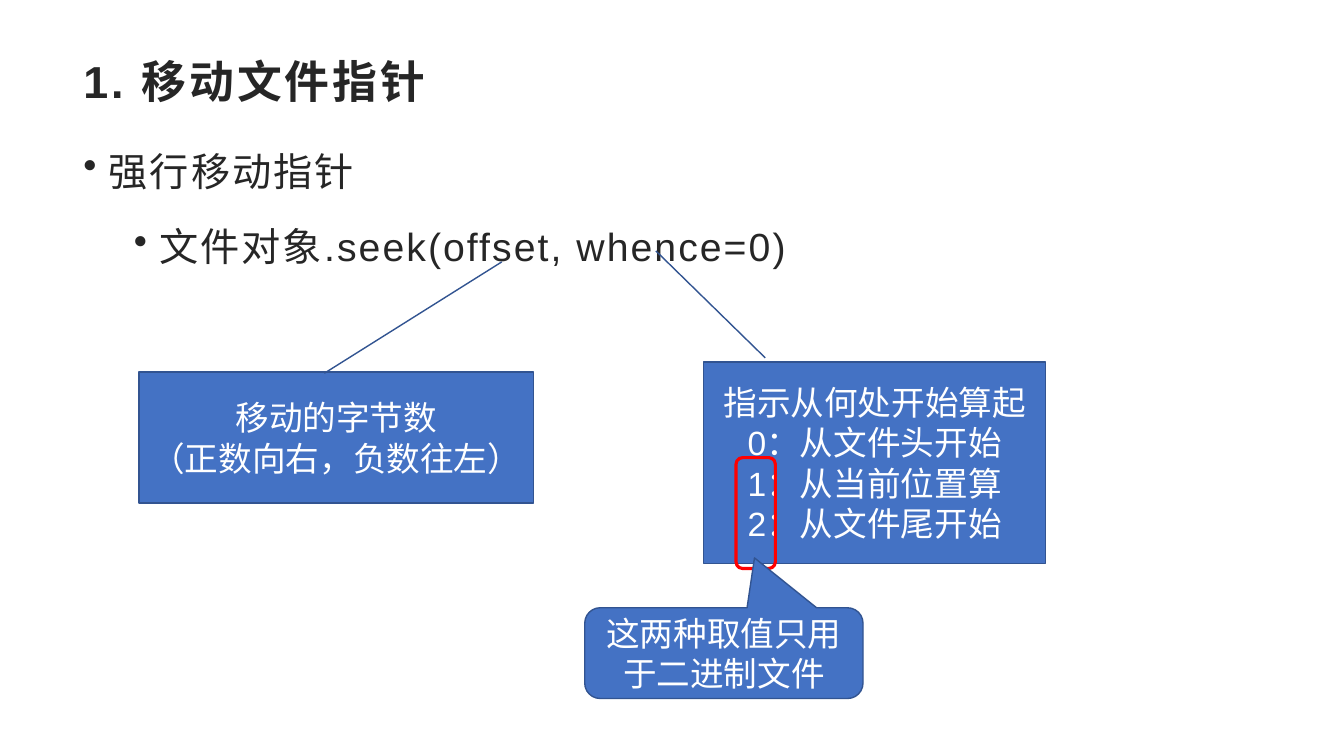
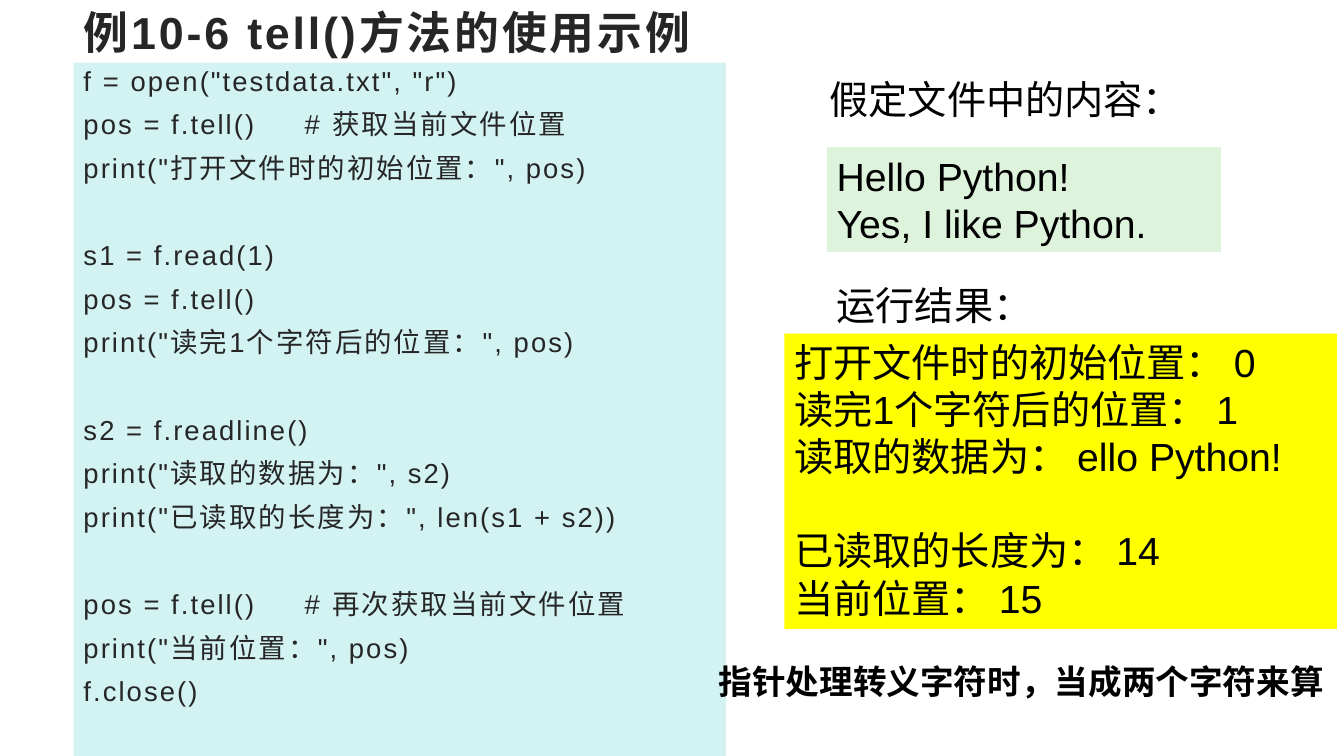
from pptx import Presentation
from pptx.dml.color import RGBColor
from pptx.enum.shapes import MSO_SHAPE
from pptx.enum.text import MSO_ANCHOR, PP_ALIGN
from pptx.oxml.ns import qn
from pptx.util import Inches, Pt

RECTANGLE = MSO_SHAPE.RECTANGLE
ROUNDED = MSO_SHAPE.ROUNDED_RECTANGLE
LINE_CALLOUT = MSO_SHAPE.LINE_CALLOUT_1
SPEECH_CALLOUT = MSO_SHAPE.ROUNDED_RECTANGULAR_CALLOUT
TOP, MIDDLE = MSO_ANCHOR.TOP, MSO_ANCHOR.MIDDLE
LEFT, CENTER = PP_ALIGN.LEFT, PP_ALIGN.CENTER

COLORS = {
    "heading": "262626",
    "text": "000000",
    "light": "FFFFFF",
    "callout": "4472C4",
    "outline": "325491",
    "highlight": "FF0000",
    "code": "D3F2F2",
    "file": "DEF3DC",
    "output": "FFFF00",
}

CODE_BLOCKS = [
    [
        'f = open("testdata.txt", "r")',
        "pos = f.tell()     # 获取当前文件位置",
        'print("打开文件时的初始位置：", pos)',
    ],
    [
        "s1 = f.read(1)",
        "pos = f.tell()",
        'print("读完1个字符后的位置：", pos)',
    ],
    [
        "s2 = f.readline()",
        'print("读取的数据为：", s2)',
        'print("已读取的长度为：", len(s1 + s2))',
    ],
    [
        "pos = f.tell()     # 再次获取当前文件位置",
        'print("当前位置：", pos)',
        "f.close()",
    ],
]

OUTPUT_BLOCKS = [
    ["打开文件时的初始位置： 0", "读完1个字符后的位置： 1", "读取的数据为： ello Python!"],
    ["已读取的长度为： 14", "当前位置： 15"],
]


class Lesson:
    font = "Arial"
    title_size = 32
    body_size = 28
    callout_size = 24
    code_size = 19.6
    margin = 0.73
    content_width = 11.87

    def __init__(self):
        self.deck = Presentation()
        self.deck.slide_width = Inches(13.33)
        self.deck.slide_height = Inches(7.5)
        self.page = None

    def color(self, name):
        return RGBColor.from_string(COLORS[name])

    def add_page(self, title, top):
        self.page = self.deck.slides.add_slide(self.deck.slide_layouts[6])
        self.text((self.margin, top, self.content_width, 0.78), [[title]],
                  size=self.title_size, color="heading", bold=True, tracking=2)

    def fill_text(self, box, blocks, size, color="text", bold=False, align=LEFT,
                  anchor=TOP, tracking=0, line_spacing=None, after=0, gap=0, wrap=True):
        frame = box.text_frame
        frame.word_wrap = wrap
        frame.vertical_anchor = anchor
        frame.text = "\n".join(line for block in blocks for line in block)
        starts = [sum(map(len, blocks[:index])) for index in range(1, len(blocks))]
        for index, para in enumerate(frame.paragraphs):
            para.alignment = align
            para.space_after = Pt(after)
            if line_spacing:
                para.line_spacing = line_spacing
            if index in starts:
                para.space_before = Pt(gap)
            for span in para.runs:
                span.font.name = self.font
                span.font.size = Pt(size)
                span.font.bold = bold
                span.font.color.rgb = self.color(color)
                if tracking:
                    span._r.get_or_add_rPr().set("spc", str(int(tracking * 100)))

    def text(self, area, blocks, **style):
        box = self.page.shapes.add_textbox(*map(Inches, area))
        self.fill_text(box, blocks, **style)
        return box

    def shape(self, kind, area, fill=None, line=None, line_width=1, adjustments=()):
        box = self.page.shapes.add_shape(kind, *map(Inches, area))
        box.shadow.inherit = False
        for index, value in enumerate(adjustments):
            box.adjustments[index] = value
        if fill:
            box.fill.solid()
            box.fill.fore_color.rgb = self.color(fill)
        else:
            box.fill.background()
        if line:
            box.line.color.rgb = self.color(line)
            box.line.width = Pt(line_width)
        else:
            box.line.fill.background()
        return box

    def callout(self, kind, area, lines, adjustments):
        box = self.shape(kind, area, "callout", "outline", adjustments=adjustments)
        self.fill_text(box, [lines], self.callout_size, "light", align=CENTER, anchor=MIDDLE)

    def panel(self, area, fill, blocks, **style):
        self.fill_text(self.shape(RECTANGLE, area, fill), blocks, **style)

    def bullets(self, area, items):
        box = self.text(area, [[line for level, line in items]], size=self.body_size,
                        color="heading", tracking=1.5, line_spacing=1.3, after=10)
        for para, (level, line) in zip(box.text_frame.paragraphs, items):
            para.level = level
            properties = para._p.get_or_add_pPr()
            properties.set("marL", str(Inches(0.25 + 0.5 * level)))
            properties.set("indent", str(Inches(-0.25)))
            bullet = properties.makeelement(qn("a:buChar"), {"char": "•"})
            properties.append(bullet)


def add_seek_page(lesson):
    lesson.add_page("1. 移动文件指针", 0.48)
    lesson.bullets((lesson.margin, 1.27, lesson.content_width, 5.67),
                   [(0, "强行移动指针"), (1, "文件对象.seek(offset, whence=0)")])
    lesson.callout(LINE_CALLOUT, (1.38, 3.69, 3.91, 1.3),
                   ["移动的字节数", "（正数向右，负数往左）"],
                   (0.01, 0.47, -0.84, 0.92))
    lesson.callout(LINE_CALLOUT, (6.98, 3.59, 3.39, 2),
                   ["指示从何处开始算起", "0：从文件头开始", "1：从当前位置算", "2：从文件尾开始"],
                   (-0.02, 0.18, -0.55, -0.14))
    lesson.shape(ROUNDED, (7.3, 4.54, 0.39, 1.1), line="highlight", line_width=2.25)
    lesson.callout(SPEECH_CALLOUT, (5.8, 6.03, 2.76, 0.9),
                   ["这两种取值只用于二进制文件"], (0.11, -1.05, 0.17))


def add_tell_page(lesson):
    size = lesson.body_size
    lesson.add_page("例10-6 tell()方法的使用示例", 0)
    lesson.panel((lesson.margin, 0.62, 6.47, 6.88), "code", CODE_BLOCKS,
                 size=lesson.code_size, color="heading", tracking=1.5,
                 line_spacing=0.9, after=10, gap=31.2)
    lesson.text((8.13, 0.7, 3.82, 0.57), [["假定文件中的内容："]], size=size)
    lesson.panel((8.2, 1.46, 3.91, 1.04), "file",
                 [["Hello Python!", "Yes, I like Python."]], size=size)
    lesson.text((8.2, 2.74, 3.75, 0.57), [["运行结果："]], size=size)
    lesson.panel((7.78, 3.31, 5.48, 2.93), "output", OUTPUT_BLOCKS, size=size, gap=33.6)
    lesson.text((7.03, 6.51, 6.22, 0.5), [["指针处理转义字符时，当成两个字符来算"]],
                size=lesson.callout_size, bold=True, wrap=False)


def main():
    lesson = Lesson()
    add_seek_page(lesson)
    add_tell_page(lesson)
    lesson.deck.save("out.pptx")


if __name__ == "__main__":
    main()
